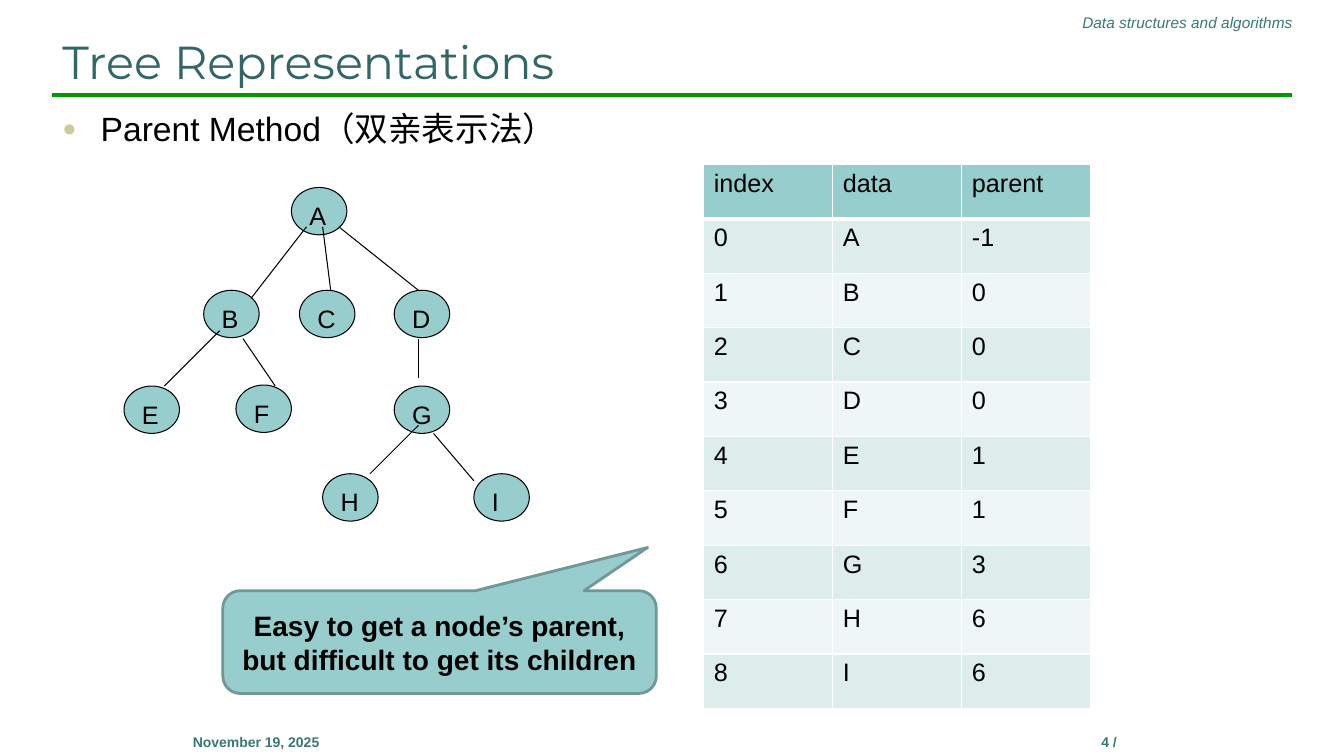
"""Build the slide on the parent method of tree representation."""
from lxml import etree
from pptx import Presentation
from pptx import util as u
from pptx.dml.color import RGBColor
from pptx.enum import shapes, text
from pptx.oxml import ns

PX = 9144
BLACK = RGBColor(0, 0, 0)
WHITE = RGBColor(0xFF, 0xFF, 0xFF)
GREEN = RGBColor(0, 0x99, 0)
TEAL = RGBColor(0x33, 0x66, 0x66)
MUTED = RGBColor(0x3A, 0x78, 0x77)
AQUA = RGBColor(0x97, 0xCD, 0xCC)
RIM = RGBColor(0x70, 0x98, 0x97)
SAND = RGBColor(0xCC, 0xCC, 0x99)
BANDS = RGBColor(0xDD, 0xED, 0xEC), RGBColor(0xEF, 0xF6, 0xF6)

NODES = [
    ("A", 289, 186), ("B", 202, 288), ("C", 297, 288), ("D", 391, 288),
    ("E", 123, 383), ("F", 234, 382), ("G", 391, 383),
    ("H", 320, 470), ("I", 470, 470),
]
EDGES = [
    (304, 225, 249, 296), (320, 225, 328, 288), (336, 225, 415, 288),
    (218, 328, 163, 383), (241, 336, 273, 383), (415, 336, 415, 375),
    (415, 422, 367, 470), (430, 430, 470, 477),
]
PARENTS = [-1, 0, 0, 0, 1, 1, 3, 6, 6]


def scale(*px):
    """Turn px lengths into EMU."""
    return [u.Emu(n * PX) for n in px]


def add_tag(parent, tag, **attrs):
    """Append a DrawingML element."""
    return etree.SubElement(parent, ns.qn(tag), attrs)


def style_text(para, size, color=BLACK, font="Arial", bold=False, italic=False):
    """Format every run of a paragraph."""
    for run in para.runs:
        run.font.size = u.Pt(size)
        run.font.name = font
        run.font.color.rgb = color
        run.font.bold = bold
        run.font.italic = italic


def add_text(slide, box, words, size, align=text.PP_ALIGN.LEFT,
             anchor=text.MSO_ANCHOR.TOP, **look):
    """Add a wrapped text box and return its paragraph."""
    frame = slide.shapes.add_textbox(*scale(*box)).text_frame
    frame.word_wrap = True
    frame.vertical_anchor = anchor
    frame.text = words
    para = frame.paragraphs[0]
    para.alignment = align
    style_text(para, size, **look)
    return para


def add_bullet(para, indent):
    """Give a paragraph a round bullet and a hanging indent."""
    props = para._p.get_or_add_pPr()
    props.set("marL", str(indent * PX))
    props.set("indent", str(-indent * PX))
    color = add_tag(props, "a:buClr")
    add_tag(color, "a:srgbClr", val=str(SAND))
    add_tag(props, "a:buSzPct", val="70000")
    add_tag(props, "a:buFont", typeface="Arial")
    add_tag(props, "a:buChar", char="●")


def add_line(slide, ends, color, width):
    """Add a straight line without a shadow."""
    line = slide.shapes.add_connector(shapes.MSO_CONNECTOR.STRAIGHT, *scale(*ends))
    line.line.color.rgb = color
    line.line.width = u.Pt(width)
    add_tag(line._element.spPr, "a:effectLst")


def add_shape(slide, kind, box, edge, width):
    """Add an aqua shape with an outline."""
    shape = slide.shapes.add_shape(kind, *scale(*box))
    shape.shadow.inherit = False
    shape.fill.solid()
    shape.fill.fore_color.rgb = AQUA
    shape.line.color.rgb = edge
    shape.line.width = u.Pt(width)
    return shape


def add_node(slide, name, left, top):
    """Add a tree node with its letter."""
    add_shape(slide, shapes.MSO_SHAPE.OVAL, (left, top, 55, 47), BLACK, 0.75)
    add_text(slide, (left + 8, top + 8, 47, 40), name, 18)


def add_callout(slide, box, words):
    """Add the remark that points at the table."""
    shape = add_shape(slide, shapes.MSO_SHAPE.ROUNDED_RECTANGULAR_CALLOUT,
                      box, RIM, 2)
    for i, value in enumerate((0.48, -0.92, 0.17)):
        shape.adjustments[i] = value
    frame = shape.text_frame
    frame.word_wrap = True
    frame.vertical_anchor = text.MSO_ANCHOR.MIDDLE
    frame.text = words
    frame.paragraphs[0].alignment = text.PP_ALIGN.CENTER
    style_text(frame.paragraphs[0], 20, bold=True)


def add_rule(cell, side, width):
    """Draw a white border on one side of a cell."""
    props = cell._tc.get_or_add_tcPr()
    line = add_tag(props, f"a:ln{side}", w=str(u.Pt(width)))
    fill = add_tag(line, "a:solidFill")
    add_tag(fill, "a:srgbClr", val=str(WHITE))


def add_table(slide, left, top, wide, high, rows):
    """Add a banded table with a header row."""
    count = len(rows[0])
    box = scale(left, top, wide * count, high * len(rows))
    table = slide.shapes.add_table(len(rows), count, *box).table
    for i, row in enumerate(rows):
        table.rows[i].height = u.Emu(high * PX)
        for j, value in enumerate(row):
            cell = table.cell(i, j)
            cell.text_frame.text = str(value)
            style_text(cell.text_frame.paragraphs[0], 18)
            for side in "LRTB":
                thick = (i, side) in ((0, "B"), (1, "T"))
                add_rule(cell, side, 3 if thick else 1)
            cell.fill.solid()
            cell.fill.fore_color.rgb = BANDS[(i - 1) % 2] if i else AQUA
    for col in table.columns:
        col.width = u.Emu(wide * PX)


def main():
    """Build and save the slide."""
    deck = Presentation()
    deck.slide_width, deck.slide_height = scale(1333, 750)
    slide = deck.slides.add_slide(deck.slide_layouts[6])
    add_line(slide, (52, 94, 1281, 94), GREEN, 3)
    add_text(slide, (563, 8, 729, 29), "Data structures and algorithms", 11,
             text.PP_ALIGN.RIGHT, color=MUTED, italic=True)
    for left, words in ((950, "4 /"), (104, "November 19, 2025")):
        add_text(slide, (left, 723, 300, 50), words, 10,
                 text.PP_ALIGN.CENTER, color=MUTED, bold=True)
    add_text(slide, (52, 23, 1229, 70), "Tree Representations", 33,
             anchor=text.MSO_ANCHOR.BOTTOM, color=TEAL, font="Montserrat")
    para = add_text(slide, (52, 102, 1229, 609), "Parent Method（双亲表示法）", 24)
    add_bullet(para, 38)
    for node in NODES:
        add_node(slide, *node)
    for edge in EDGES:
        add_line(slide, edge, BLACK, 0.75)
    rows = [("index", "data", "parent")]
    rows += [(i, node[0], PARENTS[i]) for i, node in enumerate(NODES)]
    add_table(slide, 698, 163, 128, 54, rows)
    add_callout(slide, (221, 586, 430, 102),
                "Easy to get a node’s parent, but difficult to get its children")
    deck.save("out.pptx")


if __name__ == "__main__":
    main()
